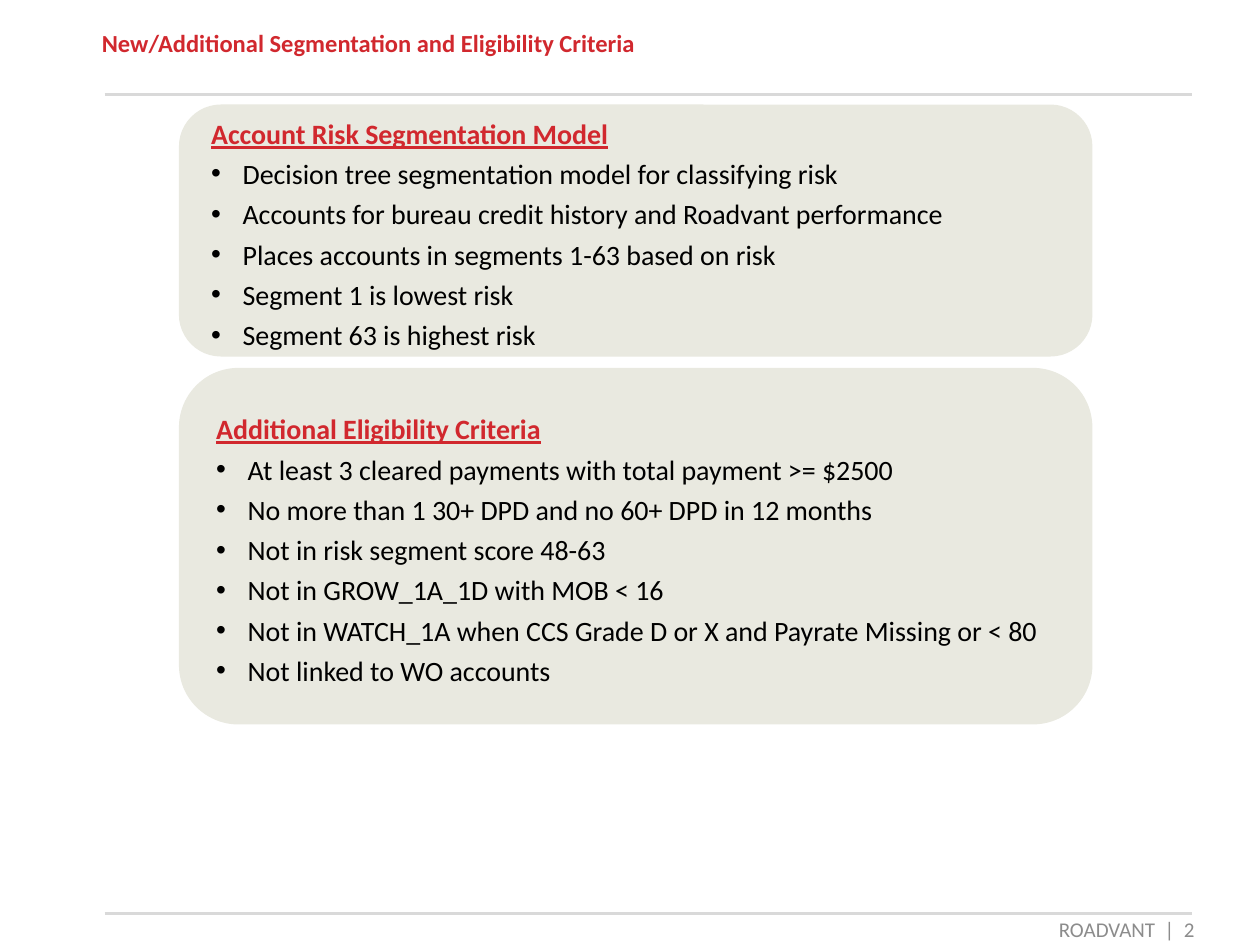
import pptx
import pptx.util
import pptx.dml.color
import pptx.enum.shapes
import pptx.enum.text
import pptx.oxml.ns
from lxml import etree

Inches = pptx.util.Inches
Pt = pptx.util.Pt
ALIGN = pptx.enum.text.PP_ALIGN
ANCHOR = pptx.enum.text.MSO_ANCHOR

COLORS = {
    "accent": "D1282E",
    "text": "000000",
    "footer": "8C8C8C",
    "rule": "D9D9D9",
    "panel": "E9E9E0",
}
FONT = "Calibri"
RULE_LEFT, RULE_RIGHT = 0.83, 9.46
PANEL_LEFT, PANEL_WIDTH = 1.42, 7.25

RISK_MODEL = [
    "Decision tree segmentation model for classifying risk",
    "Accounts for bureau credit history and Roadvant performance",
    "Places accounts in segments 1-63 based on risk",
    "Segment 1 is lowest risk",
    "Segment 63 is highest risk",
]
ELIGIBILITY = [
    "At least 3 cleared payments with total payment >= $2500",
    "No more than 1 30+ DPD and no 60+ DPD in 12 months",
    "Not in risk segment score 48-63",
    "Not in GROW_1A_1D with MOB < 16",
    "Not in WATCH_1A when CCS Grade D or X and Payrate Missing or < 80",
    "Not linked to WO accounts",
]


def rgb(name):
    return pptx.dml.color.RGBColor.from_string(COLORS[name])


def style_font(paragraph, size, color, bold=False, underline=False):
    font = paragraph.font
    font.name = FONT
    font.size = Pt(size)
    font.color.rgb = rgb(color)
    font.bold = bold
    font.underline = underline


def set_indent(paragraph, margin, first_line=0, bullet=None):
    properties = paragraph._p.get_or_add_pPr()
    properties.set("marL", str(Inches(margin)))
    properties.set("indent", str(Inches(first_line)))
    if bullet:
        qn = pptx.oxml.ns.qn
        etree.SubElement(properties, qn("a:buFont"), typeface="Arial")
        etree.SubElement(properties, qn("a:buChar"), char=bullet)


def add_rule(slide, left, right, top):
    rule = slide.shapes.add_connector(
        pptx.enum.shapes.MSO_CONNECTOR.STRAIGHT,
        Inches(left), Inches(top), Inches(right), Inches(top))
    rule.line.color.rgb = rgb("rule")
    rule.line.width = Pt(2.25)
    etree.SubElement(rule._element.spPr, pptx.oxml.ns.qn("a:effectLst"))


def add_text(slide, left, top, width, height, text, size, color,
             bold=False, align=ALIGN.LEFT, anchor=ANCHOR.TOP):
    box = slide.shapes.add_textbox(
        Inches(left), Inches(top), Inches(width), Inches(height))
    frame = box.text_frame
    frame.word_wrap = True
    frame.vertical_anchor = anchor
    paragraph = frame.paragraphs[0]
    paragraph.text = text
    paragraph.alignment = align
    style_font(paragraph, size, color, bold)


def add_panel(slide, left, top, width, height, heading, items):
    """Rounded panel with an underlined heading over a bulleted list."""
    panel = slide.shapes.add_shape(
        pptx.enum.shapes.MSO_SHAPE.ROUNDED_RECTANGLE,
        Inches(left), Inches(top), Inches(width), Inches(height))
    panel.shadow.inherit = False
    panel.fill.solid()
    panel.fill.fore_color.rgb = rgb("panel")
    panel.line.fill.background()

    frame = panel.text_frame
    frame.word_wrap = True
    frame.vertical_anchor = ANCHOR.MIDDLE
    for index, text in enumerate([heading] + items):
        paragraph = frame.add_paragraph() if index else frame.paragraphs[0]
        paragraph.text = text
        paragraph.alignment = ALIGN.LEFT
        paragraph.line_spacing = 1.2
        if index:
            set_indent(paragraph, 0.31, -0.25, "•")
            style_font(paragraph, 16, "text")
        else:
            set_indent(paragraph, 0.06)
            style_font(paragraph, 16, "accent", bold=True, underline=True)


def main():
    presentation = pptx.Presentation()
    presentation.slide_width = Inches(10)
    presentation.slide_height = Inches(7.5)
    slide = presentation.slides.add_slide(presentation.slide_layouts[6])

    for top in (0.75, 7.25):
        add_rule(slide, RULE_LEFT, RULE_RIGHT, top)
    add_text(slide, 0.71, 0.17, 8.88, 0.64,
             "New/Additional Segmentation and Eligibility Criteria",
             14, "accent", bold=True)
    add_text(slide, 7.25, 7.25, 2.33, 0.25, "ROADVANT  |  2", 12, "footer",
             align=ALIGN.RIGHT, anchor=ANCHOR.MIDDLE)
    add_panel(slide, PANEL_LEFT, 2.92, PANEL_WIDTH, 2.83,
              "Additional Eligibility Criteria", ELIGIBILITY)
    add_panel(slide, PANEL_LEFT, 0.83, PANEL_WIDTH, 2,
              "Account Risk Segmentation Model", RISK_MODEL)

    presentation.save("out.pptx")


if __name__ == "__main__":
    main()
